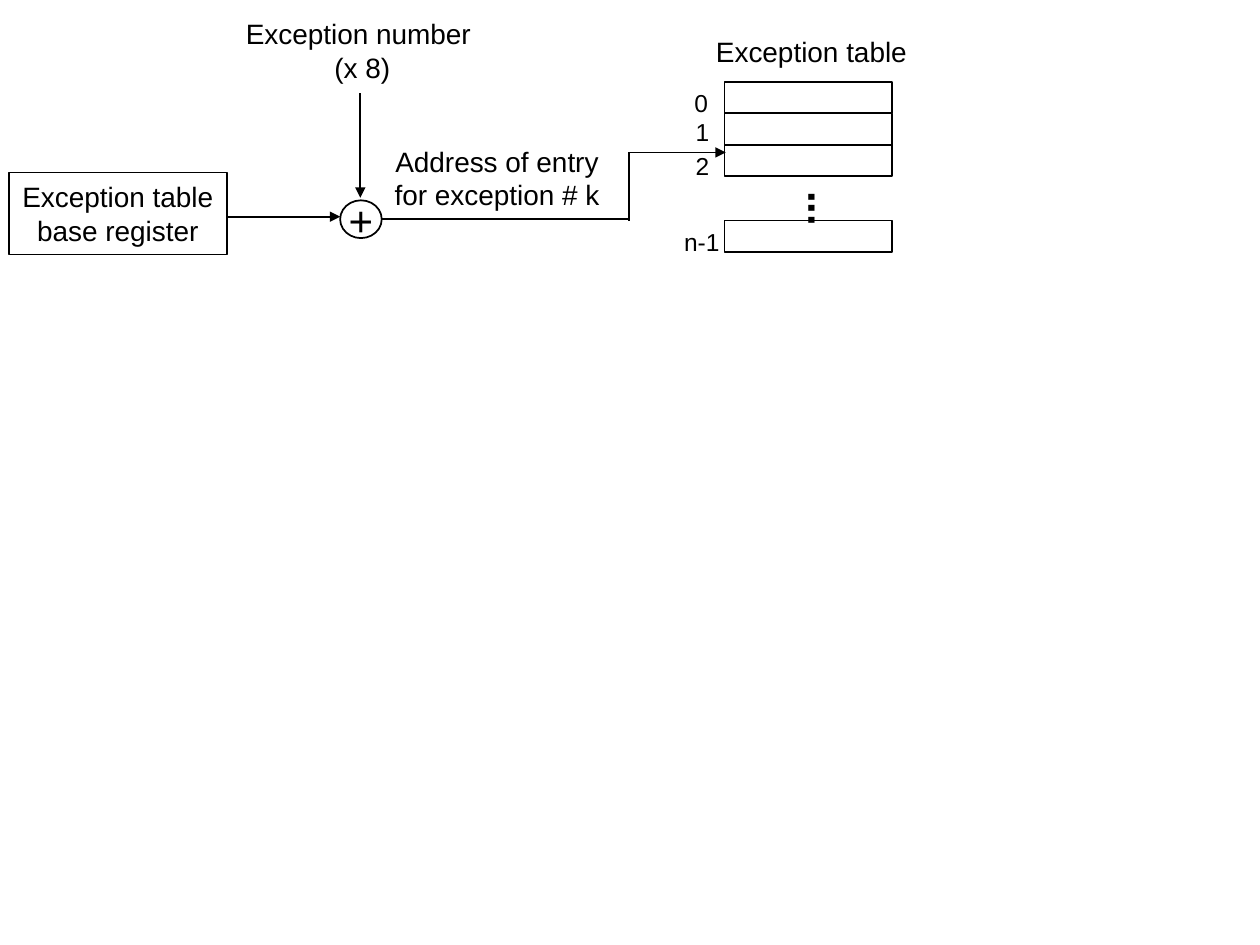
"""Build a diagram of an exception table lookup."""
import pptx
import pptx.util
import pptx.dml.color
import pptx.enum.shapes
import pptx.enum.text
import pptx.oxml.ns
from lxml import etree

COLORS = {"ink": "000000", "paper": "FFFFFF"}
FONT = "Arial"
SLIDE_SIZE = (10, 7.5)
RECTANGLE = pptx.enum.shapes.MSO_SHAPE.RECTANGLE
OVAL = pptx.enum.shapes.MSO_SHAPE.OVAL

TABLE_LEFT, TABLE_TOP = 5.75, 0.65
ROW_WIDTH, ROW_HEIGHT = 1.33, 0.25
ROW_STEPS = [0, 1, 2, 4.4]

NODES = [
    (RECTANGLE, (0.07, 1.37, 1.73, 0.65), ["Exception table", "base register"], 16, True),
    (OVAL, (2.7, 1.59, 0.33, 0.3), ["+"], 24, False),
]
LABELS = [
    ((5.58, 0.23, 1.72, 0.36), ["Exception table"], 16),
    ((1.85, 0.08, 2.05, 0.64), ["Exception number ", "(x 8)"], 16),
    ((3.03, 1.09, 1.83, 0.64), ["Address of entry", "for exception # k"], 16),
    ((5.41, 0.65, 0.31, 0.33), ["0"], 14),
    ((5.42, 0.88, 0.31, 0.33), ["1"], 14),
    ((5.42, 1.15, 0.31, 0.33), ["2"], 14),
    ((5.33, 1.75, 0.48, 0.33), ["n-1"], 14),
]
ELLIPSIS_BOX = (6.25, 1.42, 0.6, 0.38)
LINES = [
    ((1.8, 1.72), (2.7, 1.72), True),
    ((2.86, 0.74), (2.86, 1.57), True),
    ((3.03, 1.74), (4.99, 1.74), False),
    ((4.99, 1.21), (4.99, 1.75), False),
    ((4.99, 1.21), (5.76, 1.21), True),
]


def inches(values):
    return [pptx.util.Inches(value) for value in values]


def color(name):
    return pptx.dml.color.RGBColor.from_string(COLORS[name])


def write_text(shape, lines, size, grow=True, bold=False):
    frame = shape.text_frame
    frame.word_wrap = False
    frame.vertical_anchor = pptx.enum.text.MSO_ANCHOR.MIDDLE
    if grow:
        frame.auto_size = pptx.enum.text.MSO_AUTO_SIZE.SHAPE_TO_FIT_TEXT
    for index, line in enumerate(lines):
        paragraph = frame.add_paragraph() if index else frame.paragraphs[0]
        paragraph.alignment = pptx.enum.text.PP_ALIGN.CENTER
        run = paragraph.add_run()
        run.text = line
        run.font.name = FONT
        run.font.size = pptx.util.Pt(size)
        run.font.bold = bold
        run.font.color.rgb = color("ink")


def style_line(line):
    line.color.rgb = color("ink")
    line.width = pptx.util.Pt(1)


def add_node(slide, kind, box):
    shape = slide.shapes.add_shape(kind, *inches(box))
    shape.shadow.inherit = False
    shape.fill.solid()
    shape.fill.fore_color.rgb = color("paper")
    style_line(shape.line)
    return shape


def add_label(slide, box, lines, size, bold=False):
    label = slide.shapes.add_textbox(*inches(box))
    write_text(label, lines, size, bold=bold)
    return label


def add_line(slide, start, end, arrow):
    straight = pptx.enum.shapes.MSO_CONNECTOR.STRAIGHT
    connector = slide.shapes.add_connector(straight, *inches(start + end))
    style_line(connector.line)
    if arrow:
        outline = connector.line._get_or_add_ln()
        etree.SubElement(outline, pptx.oxml.ns.qn("a:tailEnd"), type="triangle")
    etree.SubElement(connector._element.spPr, pptx.oxml.ns.qn("a:effectLst"))


def main():
    presentation = pptx.Presentation()
    presentation.slide_width, presentation.slide_height = inches(SLIDE_SIZE)
    slide = presentation.slides.add_slide(presentation.slide_layouts[6])
    for step in ROW_STEPS:
        top = TABLE_TOP + step * ROW_HEIGHT
        add_node(slide, RECTANGLE, (TABLE_LEFT, top, ROW_WIDTH, ROW_HEIGHT))
    for kind, box, lines, size, grow in NODES:
        write_text(add_node(slide, kind, box), lines, size, grow)
    for start, end, arrow in LINES:
        add_line(slide, start, end, arrow)
    for box, lines, size in LABELS:
        add_label(slide, box, lines, size)
    ellipsis = add_label(slide, ELLIPSIS_BOX, ["..."], 24, bold=True)
    ellipsis.text_frame._txBody.bodyPr.set("vert", "eaVert")
    presentation.save("out.pptx")


if __name__ == "__main__":
    main()
